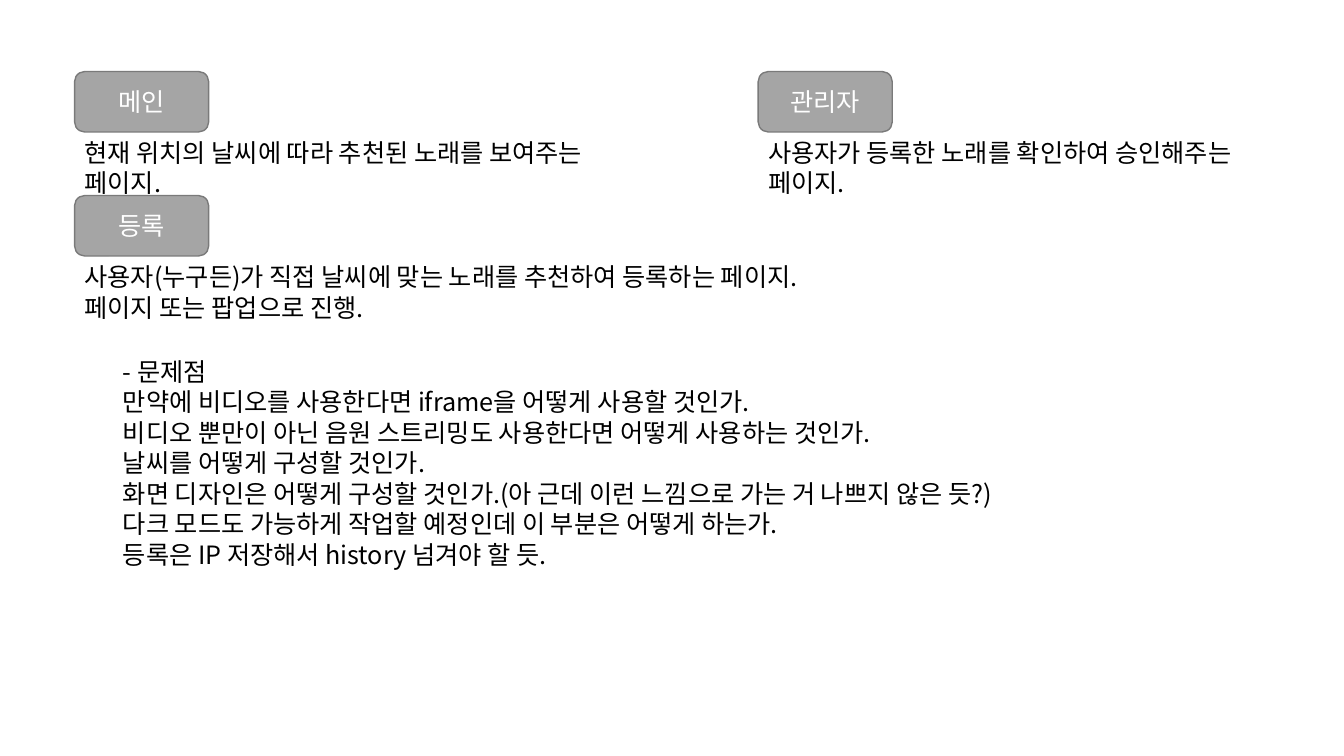
from lxml.etree import SubElement
from pptx import Presentation
from pptx.dml.color import RGBColor
from pptx.enum.shapes import MSO_SHAPE as Preset
from pptx.enum.text import MSO_ANCHOR as Anchor, MSO_AUTO_SIZE as AutoSize, PP_ALIGN as Align
from pptx.oxml.ns import qn
from pptx.util import Inches, Pt

COLORS = {"badge": "A5A5A5", "border": "7A7A7A", "label": "FFFFFF", "body": "000000"}
FONT = "Noto Sans CJK KR"
LEFT, RIGHT = 0.74, 7.52
BADGE_WIDTH, BADGE_HEIGHT = 1.33, 0.6

# Each section: left, top, label, description width, description height, lines
SECTIONS = [
    (LEFT, 0.71, "메인", 5.86, 1.01,
     ["현재 위치의 날씨에 따라 추천된 노래를 보여주는 페이지."]),
    (RIGHT, 0.71, "관리자", 5.32, 1.01,
     ["사용자가 등록한 노래를 확인하여 승인해주는 페이지."]),
    (LEFT, 1.94, "등록", 8.11, 0.71,
     ["사용자(누구든)가 직접 날씨에 맞는 노래를 추천하여 등록하는 페이지.",
      "페이지 또는 팝업으로 진행."]),
]
ISSUES = [
    "- 문제점",
    "만약에 비디오를 사용한다면 iframe을 어떻게 사용할 것인가.",
    "비디오 뿐만이 아닌 음원 스트리밍도 사용한다면 어떻게 사용하는 것인가.",
    "날씨를 어떻게 구성할 것인가.",
    "화면 디자인은 어떻게 구성할 것인가.(아 근데 이런 느낌으로 가는 거 나쁘지 않은 듯?)",
    "다크 모드도 가능하게 작업할 예정인데 이 부분은 어떻게 하는가.",
    "등록은 IP 저장해서 history 넘겨야 할 듯.",
]


def rgb(name):
    """Return a palette colour."""
    return RGBColor.from_string(COLORS[name])


def write_lines(frame, lines, color, align=Align.LEFT):
    """Write one paragraph per line in the slide's font."""
    frame.word_wrap = True
    for index, line in enumerate(lines):
        paragraph = frame.add_paragraph() if index else frame.paragraphs[0]
        paragraph.alignment = align
        paragraph.line_spacing = Pt(21.8)
        run = paragraph.add_run()
        run.text = line
        run.font.size = Pt(18)
        run.font.name = FONT
        run.font.color.rgb = rgb(color)
        SubElement(run.font._element, qn("a:ea"), typeface=FONT)


def add_badge(slide, left, top, label):
    """Add a rounded grey badge naming a page."""
    badge = slide.shapes.add_shape(Preset.ROUNDED_RECTANGLE, Inches(left), Inches(top),
                                   Inches(BADGE_WIDTH), Inches(BADGE_HEIGHT))
    badge.shadow.inherit = False
    badge.fill.solid()
    badge.fill.fore_color.rgb = rgb("badge")
    badge.line.color.rgb = rgb("border")
    badge.line.width = Pt(1)
    badge.text_frame.vertical_anchor = Anchor.MIDDLE
    write_lines(badge.text_frame, [label], "label", Align.CENTER)


def add_description(slide, left, top, width, height, lines):
    """Add a black text block that grows with its text."""
    description = slide.shapes.add_textbox(Inches(left), Inches(top),
                                           Inches(width), Inches(height))
    write_lines(description.text_frame, lines, "body")
    description.text_frame.auto_size = AutoSize.SHAPE_TO_FIT_TEXT


def main():
    """Build the page overview slide."""
    deck = Presentation()
    deck.slide_width, deck.slide_height = Inches(13.33), Inches(7.5)
    slide = deck.slides.add_slide(deck.slide_layouts[6])
    for left, top, label, width, height, lines in SECTIONS:
        add_badge(slide, left, top, label)
        add_description(slide, left, top + BADGE_HEIGHT, width, height, lines)
    add_description(slide, 1.12, 3.48, 11.1, 2.22, ISSUES)
    deck.save("out.pptx")


main()
